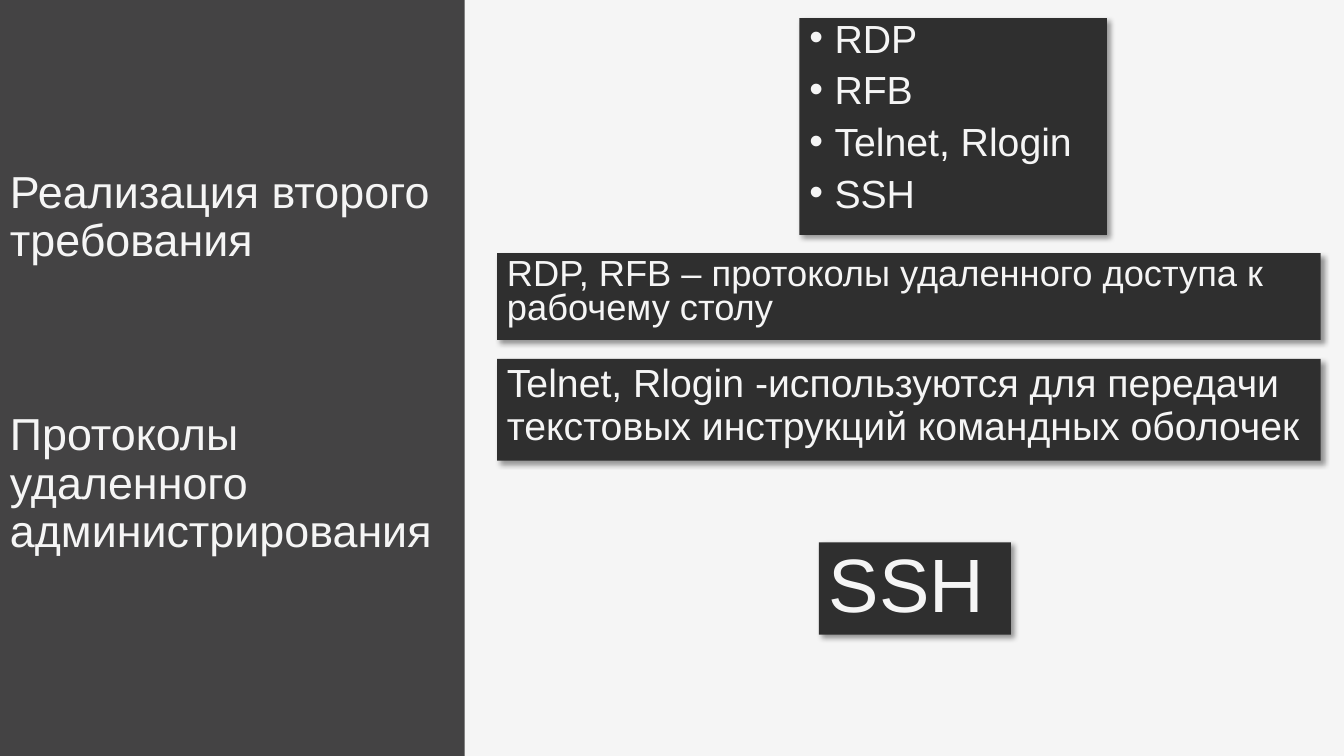
from pptx import Presentation
from pptx.util import Pt
from pptx.dml.color import RGBColor as Rgb
from pptx.enum.shapes import MSO_SHAPE as Shape
from pptx.enum.text import MSO_ANCHOR as Anchor, PP_ALIGN as Align
from pptx.oxml import parse_xml
from pptx.oxml.ns import nsdecls
from lxml.etree import SubElement

# Content
TITLE = ["Реализация второго требования",
         "Протоколы удаленного администрирования"]
LIST = ["RDP", "RFB", "Telnet, Rlogin", "SSH"]
DESK = ["RDP, RFB – протоколы удаленного доступа к рабочему столу"]
SHELL = ["Telnet, Rlogin -используются для передачи "
         "текстовых инструкций командных оболочек"]
FINAL = ["SSH"]

COLORS = {"back": "F5F5F5", "side": "444344", "card": "2F2F2F",
          "text": "F5F5F5", "shade": "000000"}
FONT = "Arial"
WIDE, HIGH = 960, 540
LEFT, SPAN = 355, 588.4
INDENT = 18

# Cards: place, lines and format
CARDS = [
    ((571, 13, 219.6, 154.8), LIST, dict(size=28, line=0.8, bullet=True)),
    ((LEFT, 180.9, SPAN, 61.9), DESK, dict(size=25.9, line=0.8)),
    ((LEFT, 256.4, SPAN, 72.7), SHELL, dict(size=28)),
    ((584.9, 387.4, 137.2, 66), FINAL, dict(size=54)),
]


def color(name):
    return Rgb.from_string(COLORS[name])


def box(place, fill):
    item = slide.shapes.add_shape(Shape.RECTANGLE, *map(Pt, place))
    item.shadow.inherit = False
    item.fill.solid()
    item.fill.fore_color.rgb = color(fill)
    item.line.fill.background()
    return item


def shade(item):
    props = item.element.spPr
    props.remove(props.find("{*}effectLst"))
    props.append(parse_xml(
        f'<a:effectLst {nsdecls("a")}><a:outerShdw blurRad="{Pt(4)}" '
        f'dist="{Pt(3)}" dir="2700000" algn="tl" rotWithShape="0">'
        f'<a:srgbClr val="{COLORS["shade"]}"><a:alpha val="40000"/>'
        '</a:srgbClr></a:outerShdw></a:effectLst>'))


def write(item, lines, size, line=0.9, before=10, bullet=False,
          anchor=Anchor.TOP, foot=3.6):
    frame = item.text_frame
    frame.word_wrap = True
    frame.vertical_anchor = anchor
    frame.margin_bottom = Pt(foot)
    for i, text in enumerate(lines):
        para = frame.paragraphs[0] if i == 0 else frame.add_paragraph()
        para.alignment = Align.LEFT
        para.line_spacing = line
        para.space_before = Pt(before)
        run = para.add_run()
        run.text = text
        run.font.name = FONT
        run.font.size = Pt(size)
        run.font.color.rgb = color("text")
        if bullet:
            props = para._p.get_or_add_pPr()
            props.set("marL", str(Pt(INDENT)))
            props.set("indent", str(-Pt(INDENT)))
            space = props.nsmap["a"]
            SubElement(props, f"{{{space}}}buFont", typeface=FONT)
            SubElement(props, f"{{{space}}}buChar", char="•")


# Slide
deck = Presentation()
deck.slide_width, deck.slide_height = Pt(WIDE), Pt(HIGH)
slide = deck.slides.add_slide(deck.slide_layouts[6])
slide.background.fill.solid()
slide.background.fill.fore_color.rgb = color("back")

# Side panel with the title
panel = box((0, 0, 331.9, HIGH), "side")
write(panel, TITLE, size=32, before=104, anchor=Anchor.BOTTOM, foot=142)

# Protocol cards
for place, lines, style in CARDS:
    card = box(place, "card")
    shade(card)
    write(card, lines, **style)

deck.save("out.pptx")
